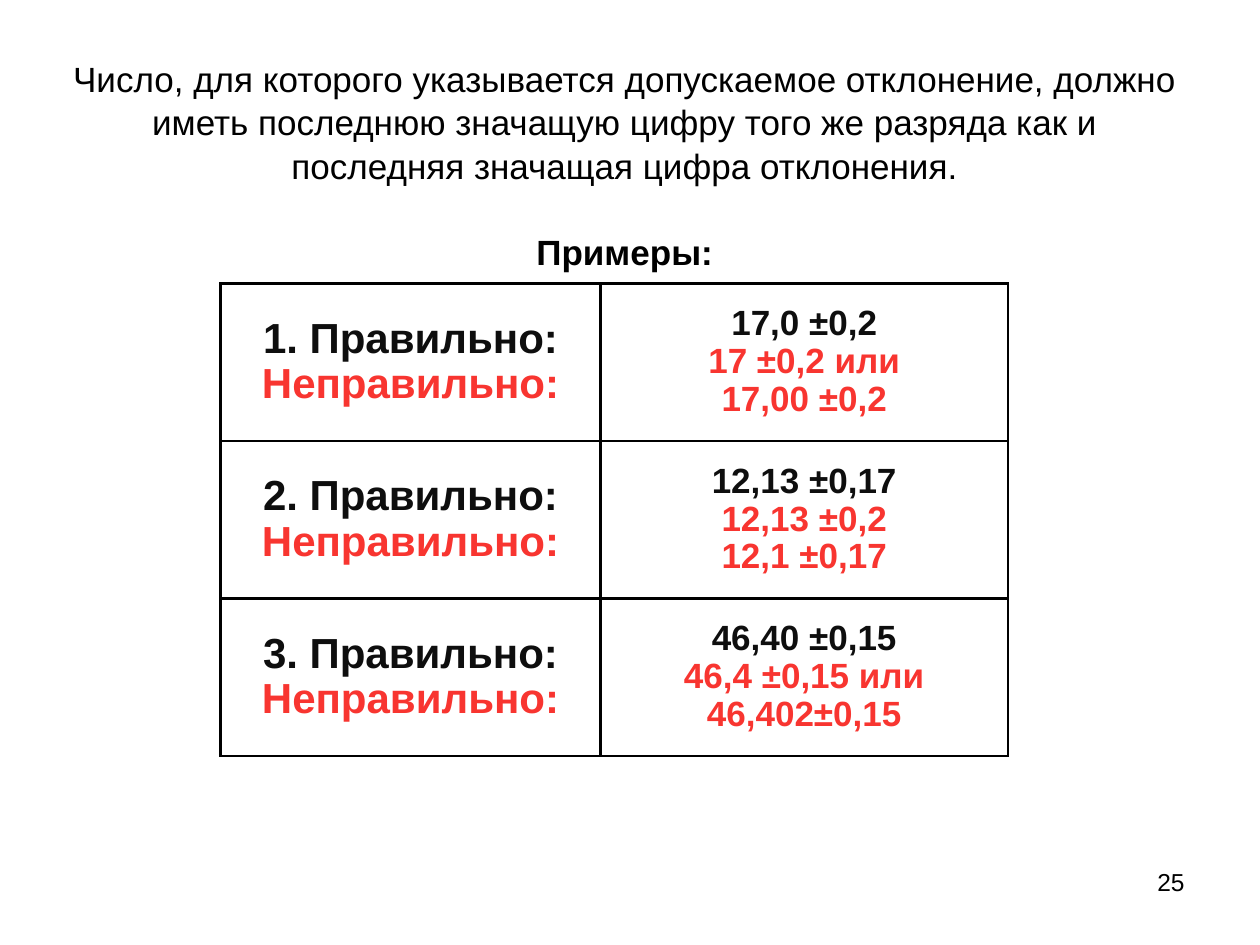
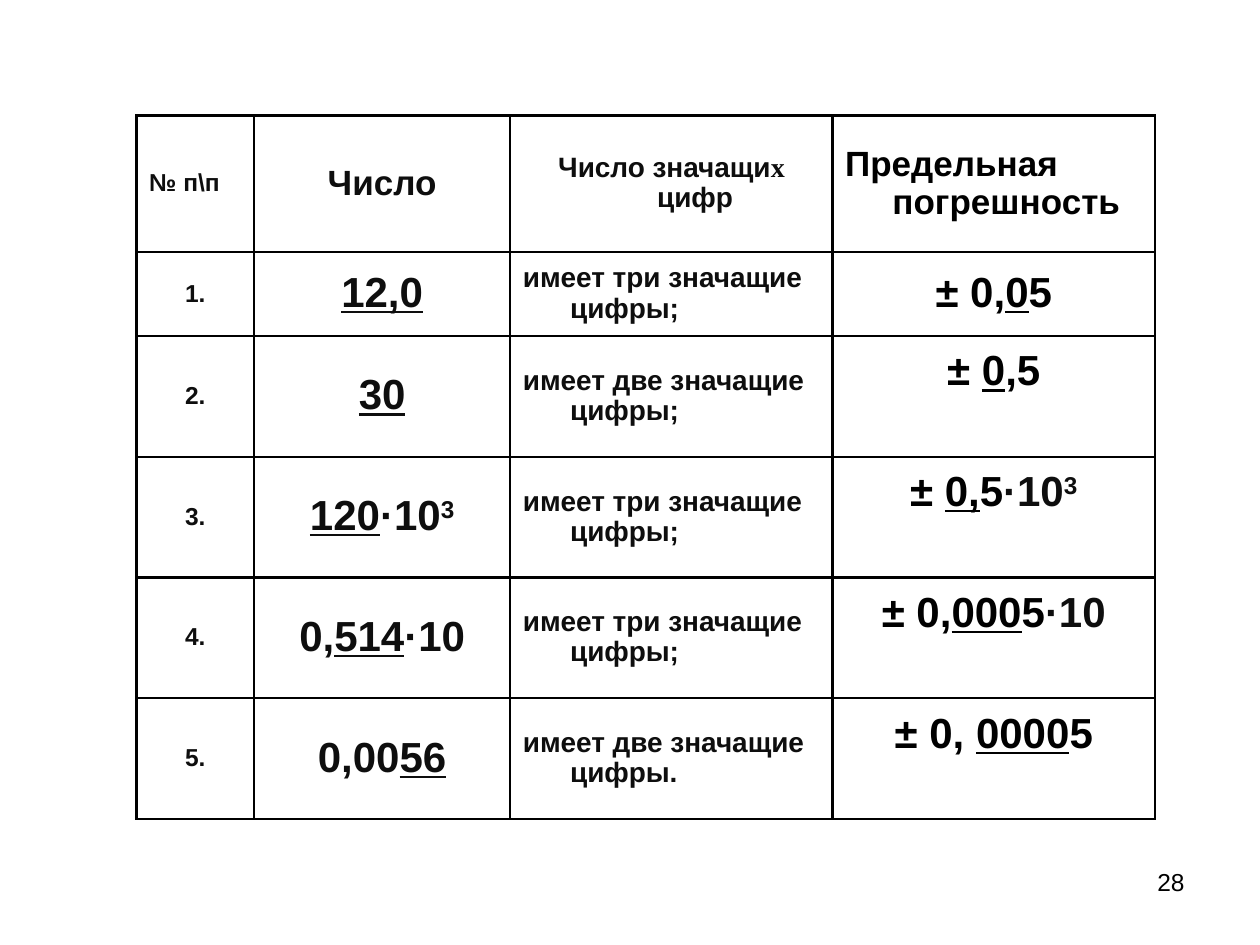
"""Builds two slides on significant digits and permitted deviations."""
import dataclasses

import lxml.etree
import pptx
import pptx.dml.color
import pptx.enum.text
import pptx.oxml.ns
import pptx.util

PX = 7620
BLACK = pptx.dml.color.RGBColor(0x00, 0x00, 0x00)
INK = pptx.dml.color.RGBColor(0x0E, 0x0E, 0x0E)
RED = pptx.dml.color.RGBColor(0xF8, 0x35, 0x30)
LEFT = pptx.enum.text.PP_ALIGN.LEFT
CENTER = pptx.enum.text.PP_ALIGN.CENTER
RIGHT = pptx.enum.text.PP_ALIGN.RIGHT
TOP = pptx.enum.text.MSO_ANCHOR.TOP
MIDDLE = pptx.enum.text.MSO_ANCHOR.MIDDLE


@dataclasses.dataclass
class Run:
    text: str
    color: pptx.dml.color.RGBColor = INK
    underline: bool = False
    superscript: bool = False
    font: str = "Arial"


@dataclasses.dataclass
class Line:
    runs: list
    size: int
    align: pptx.enum.text.PP_ALIGN = CENTER
    bold: bool = True
    hanging: int = 0
    spacing: float = 0.97
    before: int = 0


class Deck:
    def __init__(self):
        self.presentation = pptx.Presentation()
        self.presentation.slide_width = 1200 * PX
        self.presentation.slide_height = 900 * PX
        self.slide = None

    def new_slide(self, number):
        self.slide = self.presentation.slides.add_slide(self.presentation.slide_layouts[6])
        line = Line([Run(str(number), BLACK)], 14, RIGHT, bold=False, spacing=1)
        self.text(860, 820, 280, 62, [line], TOP)

    def fill_text(self, text_frame, lines):
        for index, line in enumerate(lines):
            paragraph = text_frame.add_paragraph() if index else text_frame.paragraphs[0]
            if line.hanging:
                properties = paragraph._p.get_or_add_pPr()
                properties.set("marL", str(line.hanging * PX))
                properties.set("indent", str(-line.hanging * PX))
            paragraph.alignment = line.align
            paragraph.line_spacing = line.spacing
            if line.before:
                paragraph.space_before = pptx.util.Pt(line.before)
            for item in line.runs:
                run = paragraph.add_run()
                run.text = item.text
                run.font.name = item.font
                run.font.size = pptx.util.Pt(line.size)
                run.font.bold = line.bold
                run.font.underline = item.underline
                run.font.color.rgb = item.color
                if item.superscript:
                    run._r.get_or_add_rPr().set("baseline", "30000")

    def text(self, left, top, width, height, lines, anchor):
        shape = self.slide.shapes.add_textbox(left * PX, top * PX, width * PX, height * PX)
        shape.text_frame.word_wrap = True
        shape.text_frame.vertical_anchor = anchor
        self.fill_text(shape.text_frame, lines)

    def border(self, cell):
        properties = cell._tc.get_or_add_tcPr()
        for index, side in enumerate(("lnL", "lnR", "lnT", "lnB")):
            edge = lxml.etree.Element(pptx.oxml.ns.qn(f"a:{side}"), w=str(pptx.util.Pt(1.47)))
            fill = lxml.etree.SubElement(edge, pptx.oxml.ns.qn("a:solidFill"))
            lxml.etree.SubElement(fill, pptx.oxml.ns.qn("a:srgbClr"), val=str(BLACK))
            properties.insert(index, edge)

    def table(self, left, top, widths, heights, rows):
        shape = self.slide.shapes.add_table(
            len(heights), len(widths), left * PX, top * PX, sum(widths) * PX, sum(heights) * PX)
        table = shape.table
        table.first_row = table.horz_banding = False
        for column, width in zip(table.columns, widths):
            column.width = width * PX
        for row, height, contents in zip(table.rows, heights, rows):
            row.height = height * PX
            for cell, lines in zip(row.cells, contents):
                cell.vertical_anchor = MIDDLE
                cell.fill.background()
                self.border(cell)
                self.fill_text(cell.text_frame, lines)
        return table


def right_and_wrong(texts, size):
    return [Line([Run(text, RED if index else INK)], size) for index, text in enumerate(texts)]


def build_examples(deck):
    deck.new_slide(25)
    rule = ("Число, для которого указывается допускаемое отклонение, должно иметь последнюю "
            "значащую цифру того же разряда как и последняя значащая цифра отклонения.")
    deck.text(50, 50, 1090, 212, [
        Line([Run(rule, BLACK)], 20, bold=False, spacing=1.04),
        Line([Run("Примеры:", BLACK)], 20, spacing=1.04, before=24),
    ], MIDDLE)
    examples = [
        ("17,0 ±0,2", "17 ±0,2 или", "17,00 ±0,2"),
        ("12,13 ±0,17", "12,13 ±0,2", "12,1 ±0,17"),
        ("46,40 ±0,15", "46,4 ±0,15 или", "46,402±0,15"),
    ]
    rows = [
        [right_and_wrong((f"{number}. Правильно:", "Неправильно:"), 24),
         right_and_wrong(values, 20)]
        for number, values in enumerate(examples, 1)
    ]
    deck.table(210, 270, [362, 388], [150] * 3, rows)


def build_digits_table(deck):
    deck.new_slide(28)
    hanging = 45
    rows = [[
        [Line([Run("№ п\\п")], 14, LEFT, hanging=hanging)],
        [Line([Run("Число")], 20, hanging=hanging)],
        [Line([Run("Число значащи"), Run("х ", font="Times New Roman"), Run("цифр")],
              16, hanging=hanging)],
        [Line([Run("Предельная погрешность", BLACK)], 20, LEFT, hanging=hanging)],
    ]]
    cube = Run("3", superscript=True)
    ten = Run("·10")
    entries = [
        ([Run("12,0", underline=True)], "три значащие цифры;",
         [Run("± 0,", BLACK), Run("0", BLACK, True), Run("5", BLACK)]),
        ([Run("30", underline=True)], "две значащие цифры;",
         [Run("± ", BLACK), Run("0", BLACK, True), Run(",5", BLACK)]),
        ([Run("120", underline=True), ten, cube], "три значащие цифры;",
         [Run("± ", BLACK), Run("0,", BLACK, True), Run("5", BLACK), ten, cube]),
        ([Run("0,"), Run("514", underline=True), ten], "три значащие цифры;",
         [Run("± 0,", BLACK), Run("000", BLACK, True), Run("5", BLACK), ten]),
        ([Run("0,00"), Run("56", underline=True)], "две значащие цифры.",
         [Run("± 0, ", BLACK), Run("0000", BLACK, True), Run("5", BLACK)]),
    ]
    for position, (number, digits, error) in enumerate(entries, 1):
        rows.append([
            [Line([Run(f"{position}.")], 14)],
            [Line(number, 24, hanging=hanging)],
            [Line([Run(f"имеет {digits}")], 16, LEFT, hanging=hanging)],
            [Line(error, 24, hanging=hanging)],
        ])
    table = deck.table(130, 110, [112, 244, 307, 307], [130, 80] + [115] * 4, rows)
    for row in range(2, len(rows)):
        cell = table.cell(row, 3)
        cell.vertical_anchor = TOP
        cell.margin_top = 13 * PX


def main():
    deck = Deck()
    build_examples(deck)
    build_digits_table(deck)
    deck.presentation.save("out.pptx")


if __name__ == "__main__":
    main()
